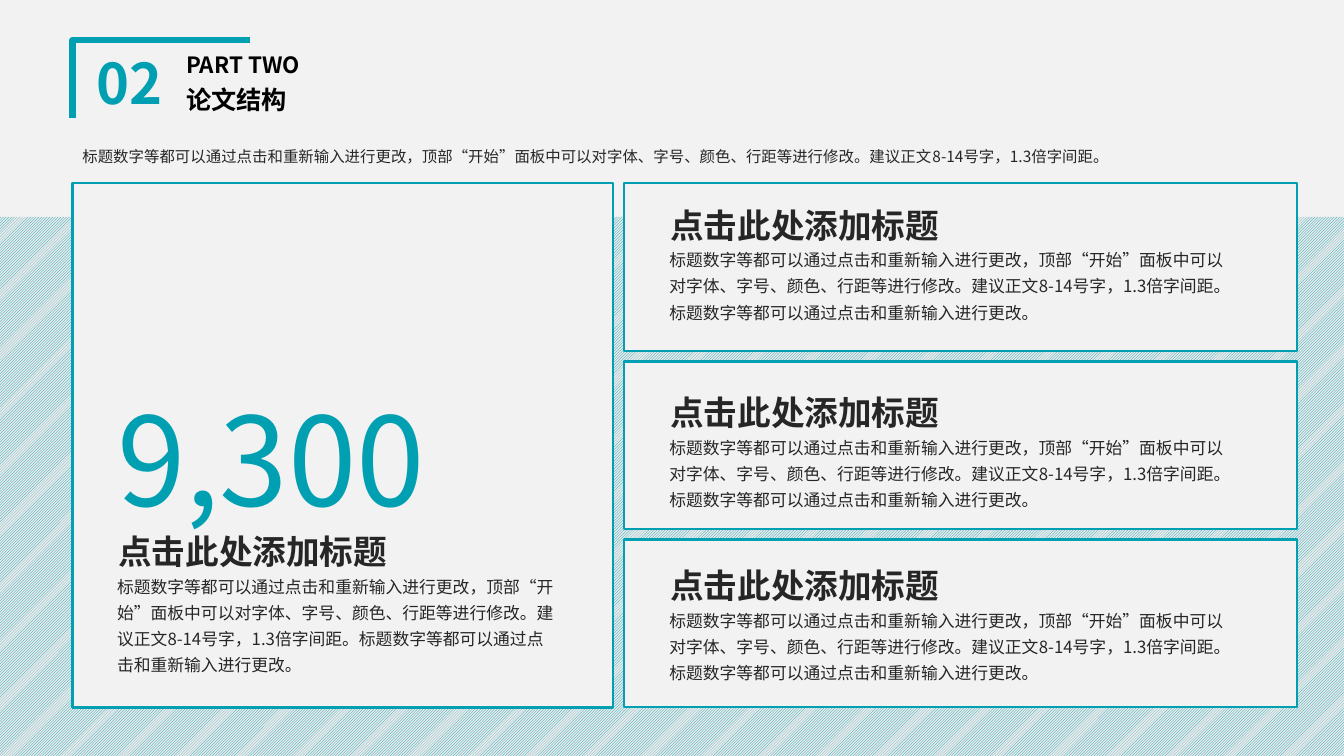
import pptx
import pptx.util
import pptx.dml.color
import pptx.enum.dml
import pptx.enum.lang
import pptx.enum.shapes
import pptx.enum.text
import pptx.oxml
import pptx.oxml.ns

Pt = pptx.util.Pt
RGBColor = pptx.dml.color.RGBColor
Align = pptx.enum.text.PP_ALIGN
Anchor = pptx.enum.text.MSO_ANCHOR

TEAL = RGBColor(0x00, 0x9F, 0xB1)
PALE = RGBColor(0xF2, 0xF2, 0xF2)
STRIPE_BACK = RGBColor(0xE9, 0xE9, 0xE9)
INK = RGBColor(0x26, 0x26, 0x26)
BLACK = RGBColor(0x00, 0x00, 0x00)
FONT = "Noto Sans CJK SC"

HEADING = "点击此处添加标题"
INTRO = ("标题数字等都可以通过点击和重新输入进行更改，顶部“开始”面板中可以对字体、字号、"
         "颜色、行距等进行修改。建议正文8-14号字，1.3倍字间距。")
BODY = INTRO + "标题数字等都可以通过点击和重新输入进行更改。"

deck = pptx.Presentation()
deck.slide_width, deck.slide_height = Pt(960), Pt(540)
slide = deck.slides.add_slide(deck.slide_layouts[6])
slide.background.fill.solid()
slide.background.fill.fore_color.rgb = PALE


def add_text(text, left, top, width, height, size, color=INK, bold=False, wrap=True,
             spacing=1.0, before=0, anchor=Anchor.TOP, align=Align.LEFT):
    box = slide.shapes.add_textbox(Pt(left), Pt(top), Pt(width), Pt(height))
    frame = box.text_frame
    frame.word_wrap = wrap
    frame.vertical_anchor = anchor
    paragraph = frame.paragraphs[0]
    paragraph.alignment = align
    paragraph.line_spacing = spacing
    paragraph.space_before = Pt(before)
    run = paragraph.add_run()
    run.text = text
    font = run.font
    font.name, font.size, font.bold = FONT, Pt(size), bold
    font.color.rgb = color
    font.language_id = pptx.enum.lang.MSO_LANGUAGE_ID.SIMPLIFIED_CHINESE
    # Chinese characters take their font from a:ea
    east_asian = pptx.oxml.parse_xml(
        f'<a:ea {pptx.oxml.ns.nsdecls("a")} typeface="{FONT}"/>')
    run._r.get_or_add_rPr().append(east_asian)


def add_rectangle(left, top, width, height):
    rectangle = slide.shapes.add_shape(pptx.enum.shapes.MSO_SHAPE.RECTANGLE,
                                       Pt(left), Pt(top), Pt(width), Pt(height))
    rectangle.shadow.inherit = False
    return rectangle


# Corner bracket around the section number
bracket_builder = slide.shapes.build_freeform(Pt(51.8), Pt(84.2))
bracket_builder.add_line_segments([(Pt(51.8), Pt(28.8)), (Pt(178.6), Pt(28.8))], close=False)
bracket = bracket_builder.convert_to_shape()
bracket.shadow.inherit = False
bracket.fill.background()
bracket.line.color.rgb = TEAL
bracket.line.width = Pt(4.5)

# Striped band
band = add_rectangle(-1.2, 155, 961.2, 385)
band.fill.patterned()
band.fill.pattern = pptx.enum.dml.MSO_PATTERN.LIGHT_UPWARD_DIAGONAL
band.fill.fore_color.rgb = TEAL
band.fill.back_color.rgb = STRIPE_BACK
band.line.fill.background()

# Section header
header_style = dict(bold=True, spacing=0.9, before=10, anchor=Anchor.MIDDLE)
add_text("02", 59, 35.3, 67, 52.6, 40, TEAL, align=Align.CENTER, **header_style)
add_text("PART TWO", 126, 35.3, 192, 24.5, 16, BLACK, **header_style)
add_text("论文结构", 126, 56.2, 192, 31.7, 18, BLACK, **header_style)
add_text(INTRO, 51.8, 97.9, 875, 24.5, 11, spacing=1.3)

# Cards: one tall on the left, three stacked on the right
CARD_TOP, CARD_PITCH = 131, 127.2
cards = [(51.8, CARD_TOP, 386, 374.4)]
cards += [(445.7, CARD_TOP + row * CARD_PITCH, 481, 119.8) for row in range(3)]
for bounds in cards:
    card = add_rectangle(*bounds)
    card.fill.solid()
    card.fill.fore_color.rgb = PALE
    card.line.color.rgb = TEAL
    card.line.width = Pt(1.5)

# Heading and body in each card: left, top, body width, body height
for left, top, width, height in [(471, 142.6, 420, 64), (471, 276.5, 420, 64),
                                 (471, 400.3, 420, 64), (76.6, 375.8, 328.3, 82.8)]:
    add_text(HEADING, left + 0.8, top, 208, 36, 24, bold=True, wrap=False)
    add_text(BODY, left, top + 28.1, width, height, 12, spacing=1.3)

# Key figure
add_text("9,300", 76.6, 270, 358.6, 113.8, 88, TEAL)

deck.save("out.pptx")
